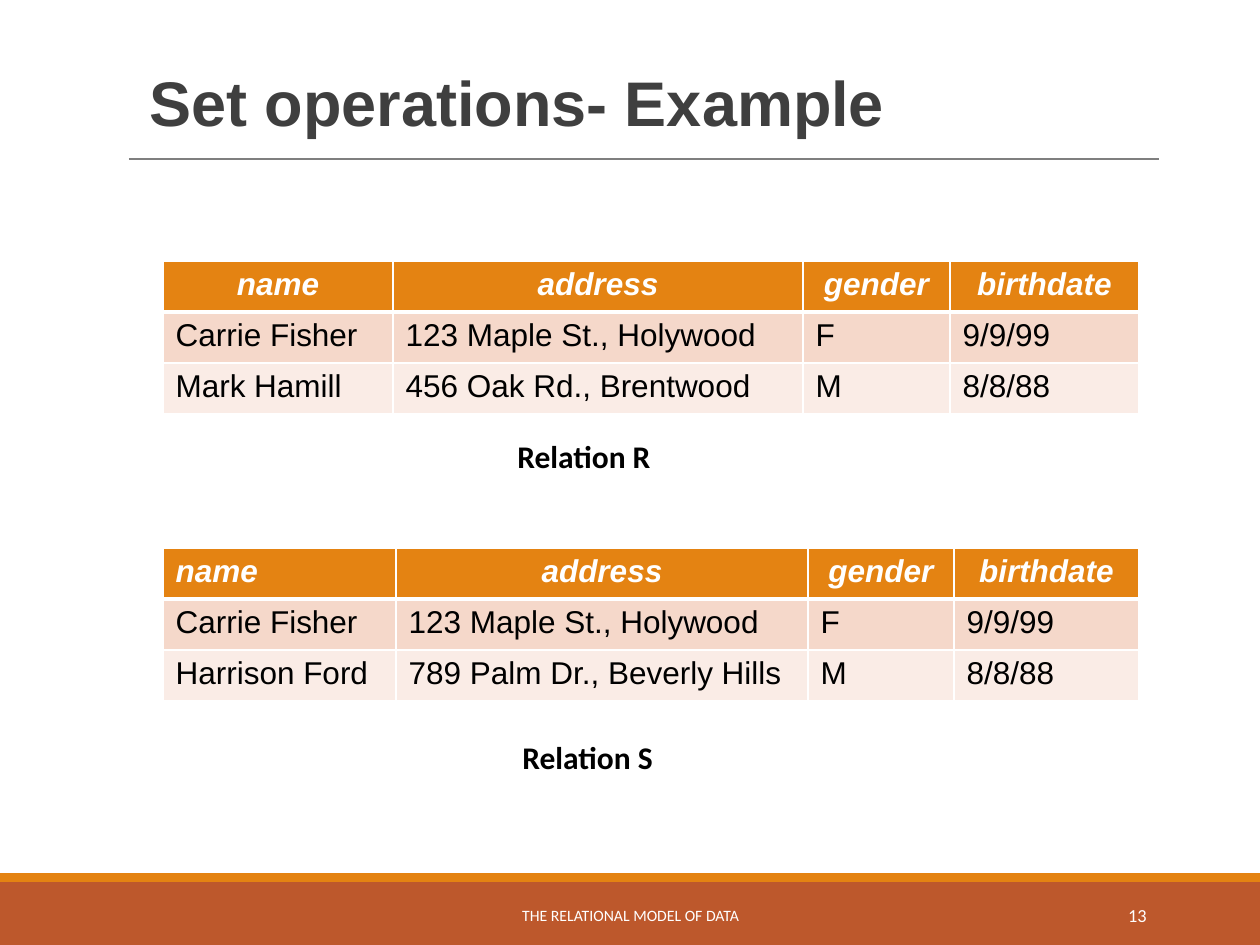
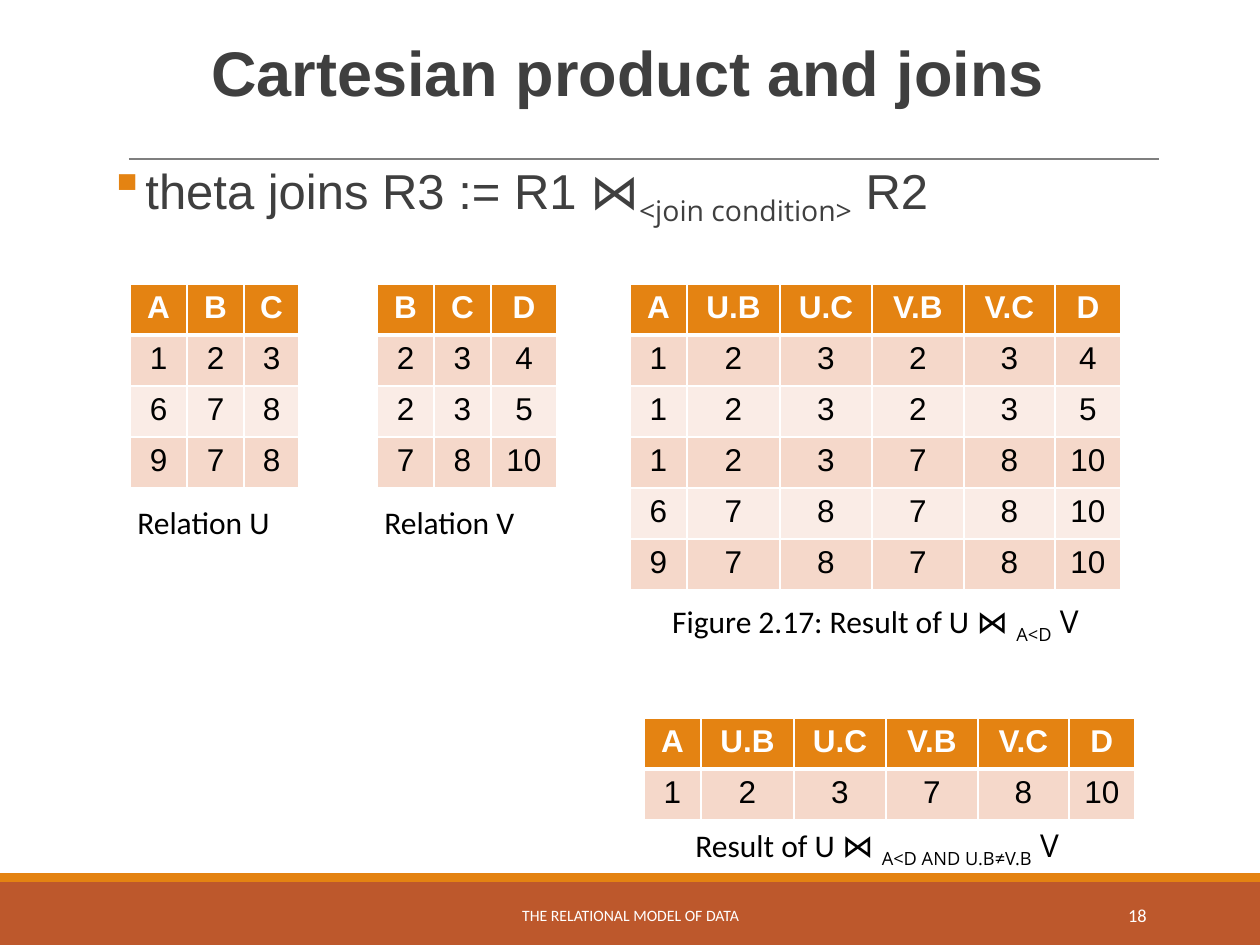
from lxml import etree
from pptx import Presentation
from pptx.dml.color import RGBColor
from pptx.enum.shapes import MSO_CONNECTOR, MSO_SHAPE
from pptx.enum.text import MSO_ANCHOR, PP_ALIGN
from pptx.oxml.ns import qn
from pptx.util import Pt

LEFT, CENTER, RIGHT = PP_ALIGN.LEFT, PP_ALIGN.CENTER, PP_ALIGN.RIGHT
TOP, MIDDLE = MSO_ANCHOR.TOP, MSO_ANCHOR.MIDDLE
RECT, STRAIGHT = MSO_SHAPE.RECTANGLE, MSO_CONNECTOR.STRAIGHT

EMU_PER_PX = 914400 / 126
COLORS = {
    "rust": "BD582C",
    "orange": "E48312",
    "rule": "7F7F7F",
    "heading": "3F3F3F",
    "odd_row": "F5D8CA",
    "even_row": "FAECE6",
    "white": "FFFFFF",
    "black": "000000",
}
ROW_HEIGHT = 51
JOIN_COLUMNS = [57, 93, 92, 92, 91, 66]
JOIN_HEADER = "A U.B U.C V.B V.C D"


def px(n):
    return round(n * EMU_PER_PX)


def rgb(name):
    return RGBColor.from_string(COLORS[name])


# Text
def style(p, size, color, font="Calibri", bold=False, italic=False, align=LEFT):
    p.alignment = align
    p.font.size, p.font.name = Pt(size), font
    p.font.bold, p.font.italic = bold, italic
    p.font.color.rgb = rgb(color)


def add_text(slide, box, runs, size, color, anchor=TOP, **fmt):
    """Runs is a string, or a list of (text, font, is_subscript)."""
    tf = slide.shapes.add_textbox(*map(px, box)).text_frame
    tf.word_wrap, tf.vertical_anchor = True, anchor
    p = tf.paragraphs[0]
    if isinstance(runs, str):
        p.add_run().text = runs
    else:
        for text, font, is_subscript in runs:
            r = p.add_run()
            r.text, r.font.name = text, font
            if is_subscript:
                r._r.get_or_add_rPr().set("baseline", "-25000")
    style(p, size, color, **fmt)
    return tf


def add_title(slide, x, y, text, align=LEFT):
    tf = add_text(slide, (x, y, 1094, 116), text, 36, "heading",
                  font="Arial", bold=True, align=align)
    tf.paragraphs[0].line_spacing = 0.85


def add_caption(slide, x, y, w, runs, **fmt):
    add_text(slide, (x, y, w, 50), runs, 18, "black", **fmt)


def add_bullet(slide, box, runs):
    tf = add_text(slide, box, runs, 28, "heading", font="Arial")
    tf.margin_left = tf.margin_right = 0
    p = tf.paragraphs[0]
    p.line_spacing = 0.9
    pPr = p._p.get_or_add_pPr()
    pPr.set("marL", str(px(53)))
    pPr.set("indent", str(px(-25)))
    color = etree.Element(qn("a:buClr"))
    etree.SubElement(color, qn("a:srgbClr"), val=COLORS["orange"])
    char = etree.Element(qn("a:buChar"), char="▪")
    for el in (color, char):
        pPr.find(qn("a:defRPr")).addprevious(el)


# Tables
def set_borders(cell, top, bottom):
    tcPr = cell._tc.get_or_add_tcPr()
    for side, width in (("L", 1), ("R", 1), ("T", top), ("B", bottom)):
        ln = etree.SubElement(tcPr, qn(f"a:ln{side}"), w=str(Pt(width)))
        fill = etree.SubElement(ln, qn("a:solidFill"))
        etree.SubElement(fill, qn("a:srgbClr"), val=COLORS["white"])


def add_relation(slide, x, y, widths, rows, italic=False,
                 header_aligns=None, body_align=CENTER):
    frame = slide.shapes.add_table(len(rows), len(widths), px(x), px(y),
                                   px(sum(widths)), px(ROW_HEIGHT * len(rows)))
    table = frame.table
    table.horz_banding = False
    header_aligns = header_aligns or [CENTER] * len(widths)
    for col, width in zip(table.columns, widths):
        col.width = px(width)
    for i, row in enumerate(rows):
        is_header = i == 0
        table.rows[i].height = px(ROW_HEIGHT)
        band = "orange" if is_header else "odd_row" if i % 2 else "even_row"
        for j, text in enumerate(row):
            cell = table.cell(i, j)
            set_borders(cell, 3 if i == 1 else 1, 3 if is_header else 1)
            cell.fill.solid()
            cell.fill.fore_color.rgb = rgb(band)
            cell.text = text
            style(cell.text_frame.paragraphs[0], 18,
                  "white" if is_header else "black", "Arial",
                  bold=is_header, italic=is_header and italic,
                  align=header_aligns[j] if is_header else body_align)


def add_number_relation(slide, x, y, widths, *lines):
    add_relation(slide, x, y, widths, [line.split() for line in lines])


# Shared slide frame
def add_band(slide, y, h, color):
    s = slide.shapes.add_shape(RECT, 0, px(y), px(1260), px(h))
    s.shadow.inherit = False
    s.fill.solid()
    s.fill.fore_color.rgb = rgb(color)
    s.line.fill.background()


def add_base_slide(prs, number):
    slide = prs.slides.add_slide(prs.slide_layouts[6])
    add_band(slide, 882, 63, "rust")
    add_band(slide, 873, 9, "orange")
    rule = slide.shapes.add_connector(STRAIGHT, px(129), px(159), px(1159), px(159))
    rule.line.color.rgb = rgb("rule")
    rule.line.width = Pt(0.75)
    etree.SubElement(rule._element.spPr, qn("a:effectLst"))
    add_text(slide, (381, 890, 499, 50), "THE RELATIONAL MODEL OF DATA", 9,
             "white", MIDDLE, align=CENTER)
    add_text(slide, (1023, 890, 136, 50), str(number), 10.5, "white", MIDDLE,
             align=RIGHT)
    return slide


# Slides
def add_set_operations(prs):
    slide = add_base_slide(prs, 13)
    add_title(slide, 137, 69, "Set operations- Example")
    header = ["name", "address", "gender", "birthdate"]
    carrie = ["Carrie Fisher", "123 Maple St., Holywood", "F", "9/9/99"]
    mark = ["Mark Hamill", "456 Oak Rd., Brentwood", "M", "8/8/88"]
    harrison = ["Harrison Ford", "789 Palm Dr., Beverly Hills", "M", "8/8/88"]
    add_relation(slide, 163, 261, [230, 410, 147, 189], [header, carrie, mark],
                 italic=True, body_align=LEFT)
    add_caption(slide, 505, 431, 199, "Relation R", bold=True)
    add_relation(slide, 163, 548, [233, 412, 146, 185],
                 [header, carrie, harrison], italic=True,
                 header_aligns=[LEFT, CENTER, CENTER, CENTER], body_align=LEFT)
    add_caption(slide, 510, 732, 194, "Relation S", bold=True)


def join_runs(lead, condition):
    return [(lead, "Calibri", False), ("⋈ ", "Open Sans", False),
            (condition, "Open Sans", True), (" V", "Open Sans", False)]


def add_joins(prs):
    slide = add_base_slide(prs, 18)
    add_title(slide, 81, 39, "Cartesian product and joins", CENTER)
    add_bullet(slide, (81, 155, 1094, 135), [
        ("theta joins R3 := R1 ", "Arial", False),
        ("⋈", "Open Sans", False),
        ("<join condition>", "Open Sans", True),
        (" R2", "Arial", False),
    ])

    # Operands
    add_number_relation(slide, 130, 284, [57, 57, 55],
                        "A B C", "1 2 3", "6 7 8", "9 7 8")
    add_caption(slide, 125, 497, 176, "Relation U")
    add_number_relation(slide, 377, 284, [57, 57, 66],
                        "B C D", "2 3 4", "2 3 5", "7 8 10")
    add_caption(slide, 372, 497, 174, "Relation V")

    # Join results
    add_number_relation(slide, 630, 284, JOIN_COLUMNS, JOIN_HEADER,
                        "1 2 3 2 3 4", "1 2 3 2 3 5", "1 2 3 7 8 10",
                        "6 7 8 7 8 10", "9 7 8 7 8 10")
    add_caption(slide, 650, 596, 451,
                join_runs("Figure 2.17: Result of U ", "A<D"), align=CENTER)
    add_number_relation(slide, 644, 718, JOIN_COLUMNS, JOIN_HEADER,
                        "1 2 3 7 8 10")
    add_caption(slide, 683, 820, 432,
                join_runs("Result of U ", "A<D AND U.B≠V.B"))


def main():
    prs = Presentation()
    prs.slide_width, prs.slide_height = px(1260), px(945)
    add_set_operations(prs)
    add_joins(prs)
    prs.save("out.pptx")


if __name__ == "__main__":
    main()
